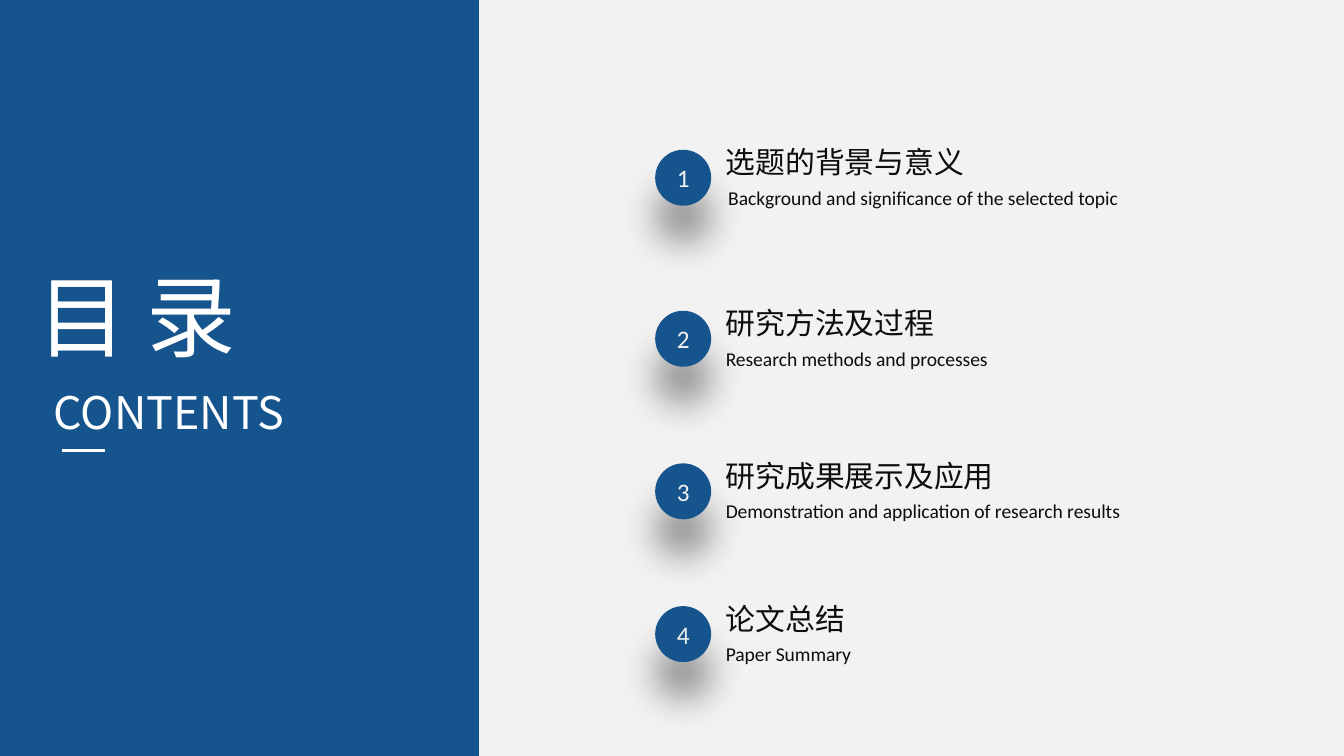
"""Build a contents slide with a blue title panel and four numbered entries."""
from dataclasses import dataclass

from lxml.etree import SubElement
from pptx import Presentation
from pptx.dml.color import RGBColor as RGB
from pptx.enum.shapes import MSO_CONNECTOR as CONN, MSO_SHAPE as SHAPE
from pptx.enum.text import MSO_ANCHOR as ANCHOR, MSO_AUTO_SIZE as AUTO, PP_ALIGN as ALIGN
from pptx.oxml.ns import qn
from pptx.util import Emu, Pt

SCALE = 9525


@dataclass(frozen=True)
class Theme:
    paper: RGB = RGB.from_string("F2F2F2")
    blue: RGB = RGB.from_string("15548D")
    white: RGB = RGB.from_string("FFFFFF")
    ink: RGB = RGB.from_string("0D0D0D")
    cjk: str = "Noto Sans CJK SC"
    latin: str = "Calibri"
    heading: float = 48
    subheading: float = 24
    topic: float = 16
    number: float = 13.5
    caption: float = 10.5
    rule: float = 1.5


@dataclass(frozen=True)
class Box:
    x: int
    y: int
    w: int
    h: int

    def emu(self) -> tuple:
        return tuple(px(n) for n in (self.x, self.y, self.w, self.h))


@dataclass(frozen=True)
class Entry:
    top: int
    topic: str
    topic_w: int
    caption: str
    caption_w: int
    align: ALIGN = ALIGN.LEFT


T = Theme()
ENTRIES = (
    Entry(98, "选题的背景与意义", 192,
          "Background and significance of the selected topic", 301, ALIGN.CENTER),
    Entry(213, "研究方法及过程", 170, "Research methods and processes", 209),
    Entry(322, "研究成果展示及应用", 213,
          "Demonstration and application of research results", 305),
    Entry(424, "论文总结", 106, "Paper Summary", 109),
)
TEXT_X, BADGE_X, BADGE = 509, 468, 40


def px(n: int) -> Emu:
    return Emu(n * SCALE)


def add_run(p, text: str, size: float, font: str, color: RGB) -> None:
    r = p.add_run()
    r.text = text
    r.font.size = Pt(size)
    r.font.name = font
    r.font.color.rgb = color
    SubElement(r.font._element, qn("a:ea"), typeface=font)


def add_text(shapes, box: Box, text: str, size: float, font: str, color: RGB,
             wrap: bool = False, align: ALIGN = ALIGN.LEFT) -> None:
    tf = shapes.add_textbox(*box.emu()).text_frame
    tf.word_wrap = wrap
    tf.auto_size = AUTO.SHAPE_TO_FIT_TEXT
    p = tf.paragraphs[0]
    p.alignment = align
    add_run(p, text, size, font, color)


def add_filled(s, kind: SHAPE, box: Box):
    sp = s.shapes.add_shape(kind, *box.emu())
    sp.shadow.inherit = False
    sp.fill.solid()
    sp.fill.fore_color.rgb = T.blue
    sp.line.fill.background()
    return sp


def add_badge(s, box: Box, number: int) -> None:
    sp = add_filled(s, SHAPE.OVAL, box)
    effects = sp._element.spPr.find(qn("a:effectLst"))
    shadow = SubElement(effects, qn("a:outerShdw"), blurRad=str(Pt(20)),
                        dist=str(Pt(20)), dir="5400000", algn="t", rotWithShape="0")
    black = SubElement(shadow, qn("a:srgbClr"), val="000000")
    SubElement(black, qn("a:alpha"), val="40000")
    tf = sp.text_frame
    tf.margin_left = tf.margin_right = tf.margin_top = tf.margin_bottom = 0
    tf.vertical_anchor = ANCHOR.MIDDLE
    p = tf.paragraphs[0]
    p.alignment = ALIGN.CENTER
    add_run(p, str(number), T.number, T.latin, T.paper)


def add_entry(s, number: int, e: Entry) -> None:
    group = s.shapes.add_group_shape()
    add_text(group.shapes, Box(TEXT_X, e.top, e.topic_w, 36),
             e.topic, T.topic, T.cjk, T.ink)
    add_text(group.shapes, Box(TEXT_X, e.top + 30, e.caption_w, 27),
             e.caption, T.caption, T.latin, T.ink, align=e.align)
    add_badge(s, Box(BADGE_X, e.top + 9, BADGE, BADGE), number)


def add_rule(s, x1: int, x2: int, y: int) -> None:
    line = s.shapes.add_connector(CONN.STRAIGHT, px(x1), px(y), px(x2), px(y))
    line.line.color.rgb = T.white
    line.line.width = Pt(T.rule)
    SubElement(line._element.spPr, qn("a:effectLst"))


def main() -> None:
    prs = Presentation()
    prs.slide_width, prs.slide_height = px(960), px(540)
    s = prs.slides.add_slide(prs.slide_layouts[6])
    s.background.fill.solid()
    s.background.fill.fore_color.rgb = T.paper
    add_filled(s, SHAPE.RECTANGLE, Box(0, 0, 342, 540))
    add_text(s.shapes, Box(29, 270, 204, 48), "CONTENTS",
             T.subheading, T.cjk, T.white, wrap=True)
    add_text(s.shapes, Box(17, 182, 190, 87), "目 录",
             T.heading, T.cjk, T.white, wrap=True)
    add_rule(s, 44, 75, 322)
    for number, entry in enumerate(ENTRIES, 1):
        add_entry(s, number, entry)
    prs.save("out.pptx")


if __name__ == "__main__":
    main()
